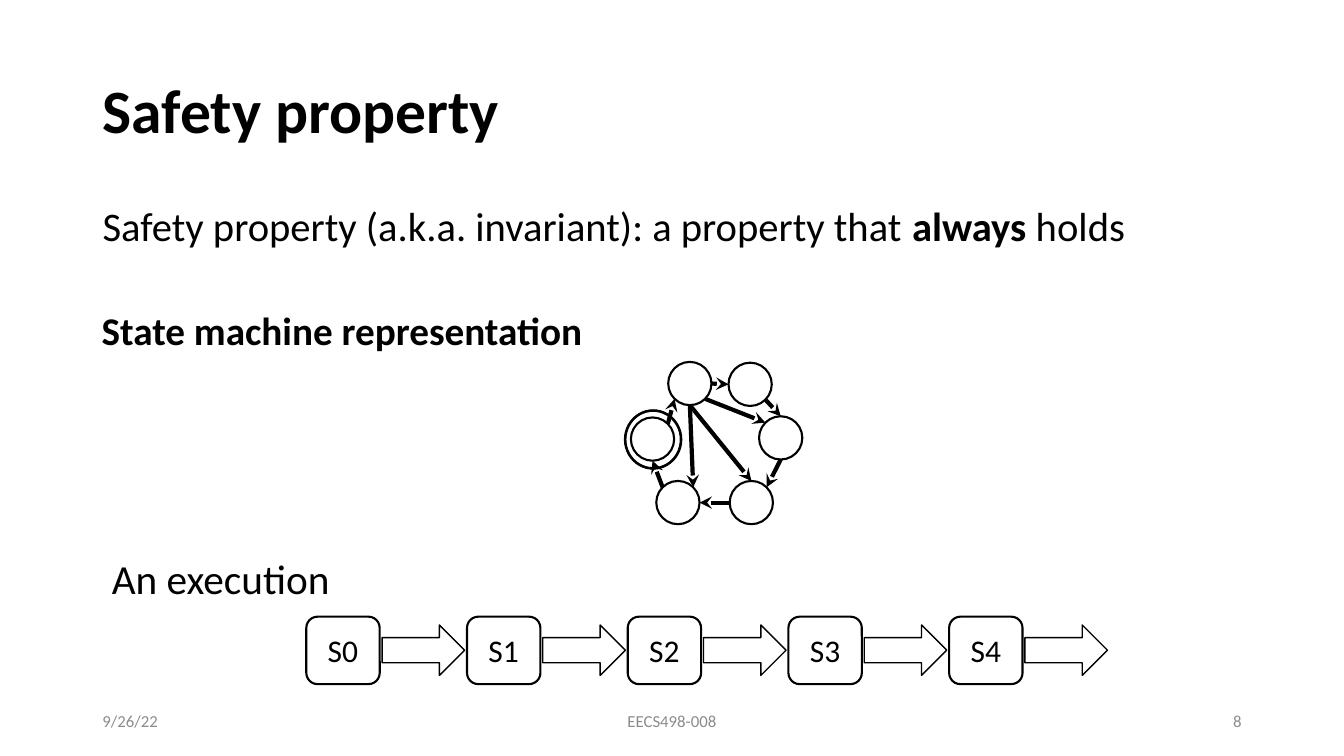
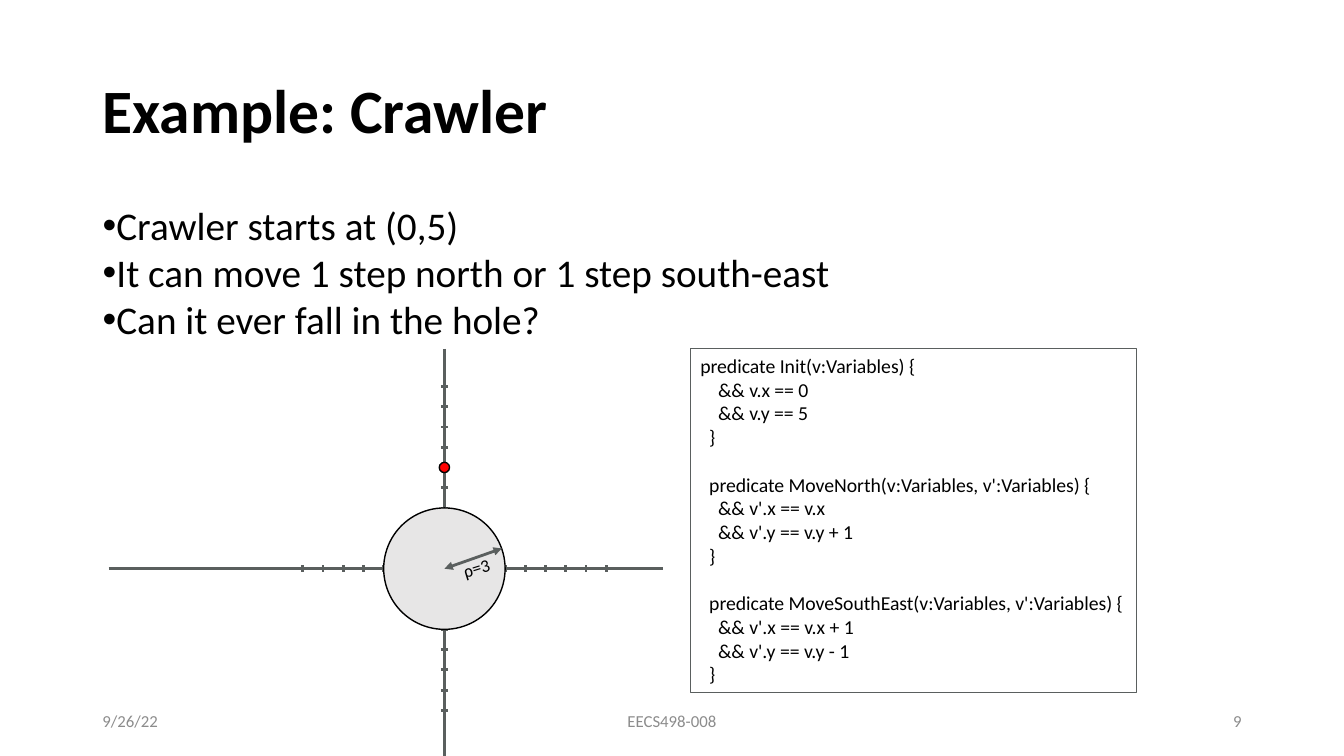
import math
from dataclasses import dataclass

import lxml.etree
import pptx
import pptx.dml.color
import pptx.enum.shapes
import pptx.enum.text
import pptx.oxml.ns
import pptx.util

Cm, Pt = pptx.util.Cm, pptx.util.Pt
RGB = pptx.dml.color.RGBColor.from_string
SHAPE = pptx.enum.shapes.MSO_SHAPE
ALIGN = pptx.enum.text.PP_ALIGN
ANCHOR = pptx.enum.text.MSO_ANCHOR
qn = pptx.oxml.ns.qn


@dataclass(frozen=True)
class Theme:
    font: str = "Calibri"
    ink: str = "000000"
    paper: str = "FFFFFF"
    muted: str = "8C8C8C"
    axis: str = "5A5F5E"
    hole: str = "E7E6E6"
    crawler: str = "FF0000"
    ring: str = "ED7D31"
    title: float = 44
    lead: float = 29
    bullet: float = 28
    heading: float = 28
    label: float = 29.5
    state: float = 22.5
    code: float = 14.1
    radius: float = 12.7
    footer: float = 12


THEME = Theme()

# Content: shared
DATE, COURSE, FIRST_NUMBER = "9/26/22", "EECS498-008", 8
TITLE_BOX = (2.33, 1.01, 29.21, 3.68)
BODY_BOX = (2.33, 5.07, 29.21, 12.09)

# Content: safety property
LEAD = [("Safety property (a.k.a. invariant): a property that ", False),
        ("always", True), (" holds", False)]
EXECUTION = ["S0", "S1", "S2", "S3", "S4"]
NODE_SIZE = 1.09
NODES = {
    "start": (15.9, 10.52),
    "top left": (16.84, 9.12),
    "top right": (18.36, 9.14),
    "right": (19.13, 10.49),
    "bottom right": (18.39, 12.12),
    "bottom left": (16.54, 12.12),
}
# Each transition: node and compass side where it leaves, then where it arrives
TRANSITIONS = [
    ("start", "NE", "top left", "SW"),
    ("top left", "SE", "right", "NW"),
    ("top left", "S", "bottom right", "N"),
    ("top left", "S", "bottom left", "NE"),
    ("top left", "E", "top right", "W"),
    ("top right", "SE", "right", "N"),
    ("right", "S", "bottom right", "NE"),
    ("bottom right", "W", "bottom left", "E"),
    ("bottom left", "NW", "start", "S"),
]
COMPASS = ["E", "SE", "S", "SW", "W", "NW", "N", "NE"]

# Content: crawler
RULES = [
    "Crawler starts at (0,5)",
    "It can move 1 step north or 1 step south-east",
    "Can it ever fall in the hole?",
]
PREDICATES = [
    """predicate Init(v:Variables) {
    && v.x == 0
    && v.y == 5
  }""",
    """  predicate MoveNorth(v:Variables, v':Variables) {
    && v'.x == v.x
    && v'.y == v.y + 1
  }""",
    """  predicate MoveSouthEast(v:Variables, v':Variables) {
    && v'.x == v.x + 1
    && v'.y == v.y - 1
  }""",
]
ORIGIN, UNIT, TICK = (11.2, 14.33), 0.51, 0.09
X_TICKS, Y_TICKS = range(-7, 9), range(-7, 10)
HOLE_RADIUS, CRAWLER_AT = 3, (0, 5)


# Text and shape helpers
def style(paragraph, size, color=THEME.ink, bold=False, align=ALIGN.LEFT):
    paragraph.alignment = align
    for run in paragraph.runs:
        font = run.font
        font.name, font.size, font.bold = THEME.font, Pt(size), bold
        font.color.rgb = RGB(color)


def place(part, box):
    part.left, part.top, part.width, part.height = map(Cm, box)


def add_text(slide, box, text, size, color=THEME.ink, bold=False,
             align=ALIGN.CENTER, inset=None):
    part = slide.shapes.add_textbox(*map(Cm, box))
    frame = part.text_frame
    frame.word_wrap, frame.vertical_anchor = True, ANCHOR.MIDDLE
    if inset is not None:
        frame.margin_left = frame.margin_right = Cm(inset)
        frame.margin_top = frame.margin_bottom = Cm(inset)
    frame.text = text
    style(frame.paragraphs[0], size, color, bold, align)
    return part


def add_shape(slide, kind, box, fill=THEME.paper, width=1.5):
    part = slide.shapes.add_shape(kind, *map(Cm, box))
    part.shadow.inherit = False
    part.fill.solid()
    part.fill.fore_color.rgb = RGB(fill)
    part.line.color.rgb = RGB(THEME.ink)
    part.line.width = Pt(width)
    return part


def add_circle(slide, center, diameter, **look):
    x, y = center
    corner = (x - diameter / 2, y - diameter / 2)
    return add_shape(slide, SHAPE.OVAL, (*corner, diameter, diameter), **look)


def add_line(slide, start, end, color=THEME.axis, width=2, **ends):
    line = slide.shapes.add_connector(
        pptx.enum.shapes.MSO_CONNECTOR.STRAIGHT, *map(Cm, (*start, *end)))
    line.line.color.rgb = RGB(color)
    line.line.width = Pt(width)
    for end_name in ("headEnd", "tailEnd"):
        if end_name in ends:
            lxml.etree.SubElement(line.get_or_add_ln(), qn(f"a:{end_name}"),
                                  type=ends[end_name])
    properties = line.element.find(qn("p:spPr"))
    lxml.etree.SubElement(properties, qn("a:effectLst"))


def set_bullet(paragraph, char=None):
    hang = Cm(0.35) if char else 0
    properties = paragraph._p.get_or_add_pPr()
    properties.set("marL", str(hang))
    properties.set("indent", str(-hang))
    if char:
        lxml.etree.SubElement(properties, qn("a:buFont"), typeface="Arial")
        lxml.etree.SubElement(properties, qn("a:buChar"), char=char)
    else:
        lxml.etree.SubElement(properties, qn("a:buNone"))


# Shared slide frame: title, body and footer; returns the slide and body text
def start_slide(deck, title):
    slide = deck.slides.add_slide(deck.slide_layouts[1])
    heading, body = slide.shapes.title, slide.placeholders[1]
    place(heading, TITLE_BOX)
    place(body, BODY_BOX)
    heading.text_frame.text = title
    heading.text_frame.vertical_anchor = ANCHOR.MIDDLE
    headline = heading.text_frame.paragraphs[0]
    headline.line_spacing = 0.9
    style(headline, THEME.title, bold=True)
    for part in (heading, body):
        part.text_frame.auto_size = pptx.enum.text.MSO_AUTO_SIZE.NONE

    number = str(FIRST_NUMBER + len(deck.slides) - 1)
    for left, width, text, align in [(2.33, 7.62, DATE, ALIGN.LEFT),
                                     (11.22, 11.43, COURSE, ALIGN.CENTER),
                                     (23.92, 7.62, number, ALIGN.RIGHT)]:
        add_text(slide, (left, 17.66, width, 1.01), text, THEME.footer,
                 THEME.muted, align=align)
    return slide, body.text_frame


def node_center(name):
    return tuple(corner + NODE_SIZE / 2 for corner in NODES[name])


def node_side(name, side):
    x, y = node_center(name)
    angle = COMPASS.index(side) * math.pi / 4
    reach = NODE_SIZE / 2
    return x + reach * math.cos(angle), y + reach * math.sin(angle)


def build_safety(deck):
    slide, body = start_slide(deck, "Safety property")
    lead = body.paragraphs[0]
    for text, _ in LEAD:
        lead.add_run().text = text
    set_bullet(lead)
    lead.space_before, lead.line_spacing = Pt(0), 0.9
    style(lead, THEME.lead)
    for run, (_, bold) in zip(lead.runs, LEAD):
        run.font.bold = bold

    # State machine
    add_text(slide, (1.78, 7.6, 13.67, 1.4), "State machine representation",
             THEME.heading, bold=True, inset=0.1)
    for name in NODES:
        add_circle(slide, node_center(name), NODE_SIZE)
    ring = add_shape(slide, SHAPE.DONUT, (15.75, 10.34, 1.42, 1.47), THEME.ring)
    ring.adjustments[0] = 0.008
    for source, leave, target, arrive in TRANSITIONS:
        add_line(slide, node_side(source, leave), node_side(target, arrive),
                 THEME.ink, 3, tailEnd="stealth")

    # Execution chain
    add_text(slide, (1.55, 13.82, 8.03, 1.47), "An execution", THEME.label,
             inset=0.1)
    for step, name in enumerate(EXECUTION):
        left = 7.72 + 4.05 * step
        state = add_shape(slide, SHAPE.ROUNDED_RECTANGLE,
                          (left, 15.54, 1.85, 1.7))
        frame = state.text_frame
        frame.margin_left = frame.margin_right = 0
        frame.vertical_anchor = ANCHOR.MIDDLE
        frame.text = name
        style(frame.paragraphs[0], THEME.state, align=ALIGN.CENTER)
        add_shape(slide, SHAPE.RIGHT_ARROW, (left + 1.91, 15.75, 2.08, 1.27),
                  width=1)


def build_crawler(deck):
    slide, body = start_slide(deck, "Example: Crawler")
    body.text = "\n".join(RULES)
    for index, rule in enumerate(body.paragraphs):
        set_bullet(rule, "•")
        rule.space_before = Pt(0)
        rule.line_spacing = 1.0 if index else 0.9
        style(rule, THEME.bullet)

    # Axes and ticks
    x0, y0 = ORIGIN
    add_line(slide, (x0, 8.79), (x0, 19.05))
    add_line(slide, (2.74, y0), (16.71, y0))
    for step in filter(None, X_TICKS):
        x = x0 + step * UNIT
        add_line(slide, (x, y0 - TICK), (x, y0 + TICK))
    for step in filter(None, Y_TICKS):
        y = y0 - step * UNIT
        add_line(slide, (x0 - TICK, y), (x0 + TICK, y))

    # Hole, its radius and the crawler
    add_circle(slide, ORIGIN, 2 * HOLE_RADIUS * UNIT, fill=THEME.hole, width=1)
    add_line(slide, (x0 + 1.45, y0 - UNIT), ORIGIN,
             headEnd="triangle", tailEnd="triangle")
    radius = add_text(slide, (11.46, 13.94, 1.09, 0.74), "ρ=3", THEME.radius,
                      inset=0.1)
    radius.rotation = 342.8
    crawler_x, crawler_y = CRAWLER_AT
    add_circle(slide, (x0 + crawler_x * UNIT, y0 - crawler_y * UNIT), 0.26,
               fill=THEME.crawler, width=1)

    # Code
    code = add_text(slide, (17.4, 8.79, 11.25, 8.66), "\n".join(PREDICATES),
                    THEME.code)
    code.line.color.rgb = RGB(THEME.axis)
    code.line.width = Pt(0.75)
    code.text_frame.vertical_anchor = ANCHOR.TOP
    for index, line in enumerate(code.text_frame.paragraphs):
        style(line, THEME.code)
        if index and line.text.lstrip().startswith("predicate"):
            line.space_before = Pt(17.2)


def main():
    deck = pptx.Presentation()
    deck.slide_width, deck.slide_height = Cm(33.87), Cm(19.05)
    build_safety(deck)
    build_crawler(deck)
    deck.save("out.pptx")


if __name__ == "__main__":
    main()
